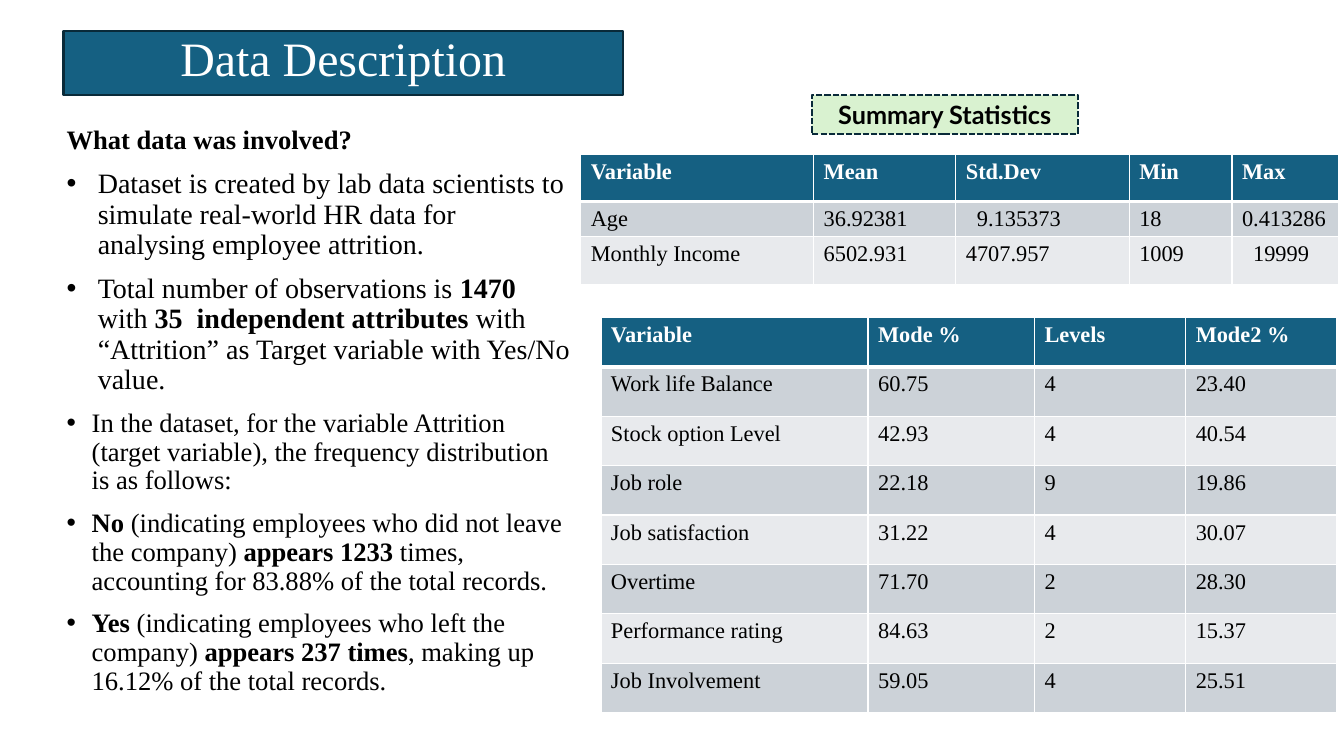
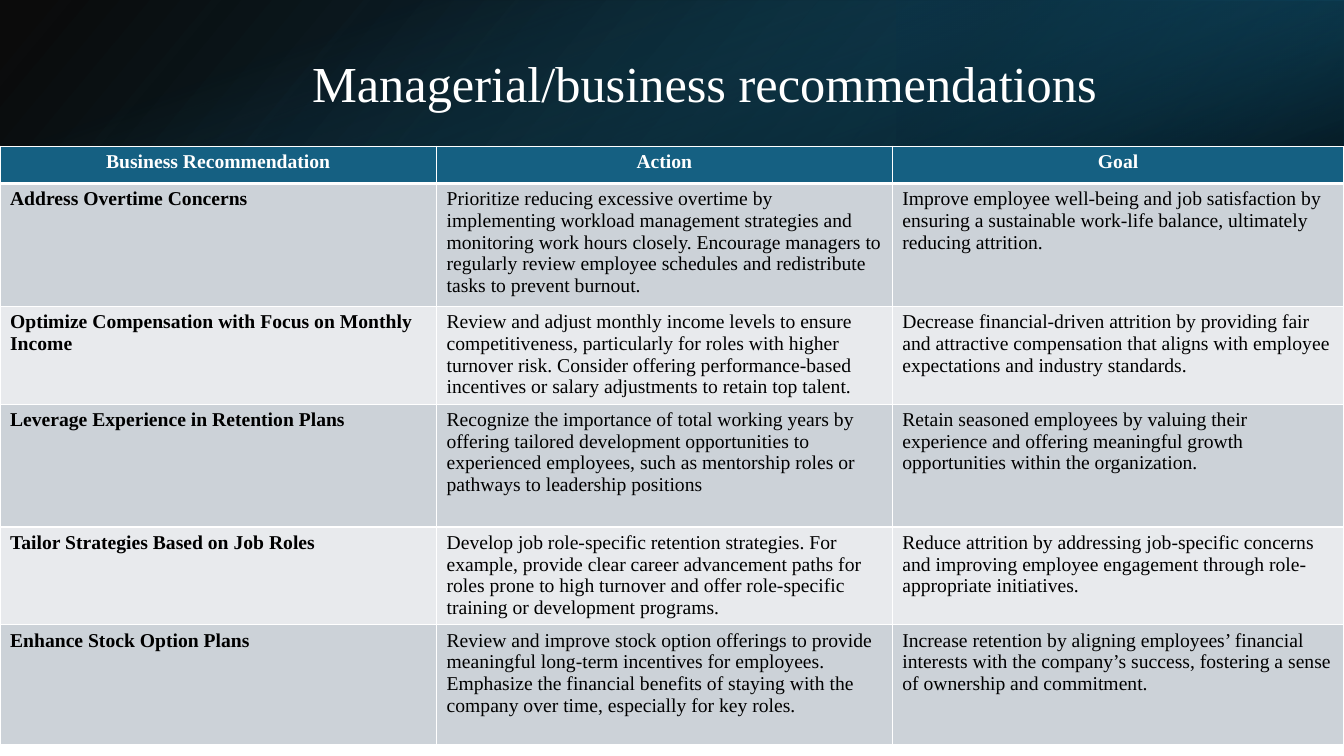
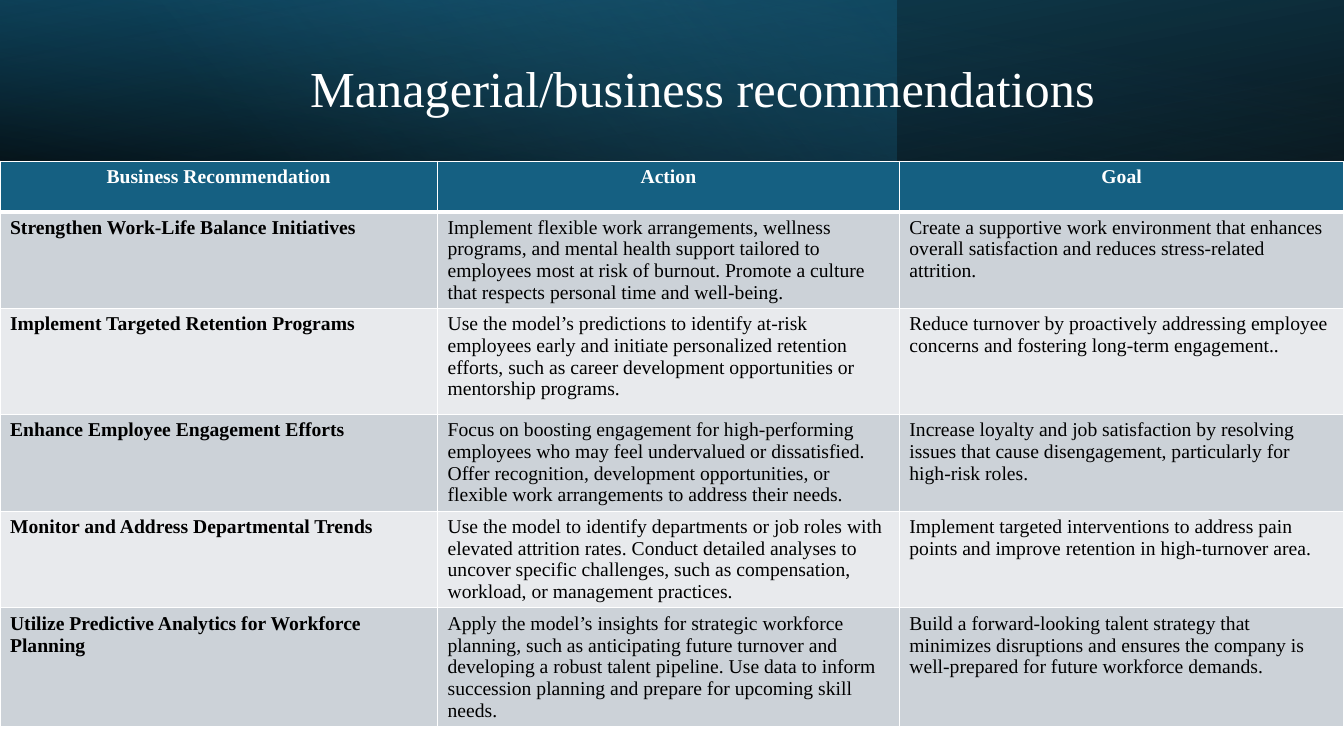
import pptx
import pptx.dml.color
import pptx.enum.dml
import pptx.enum.shapes
import pptx.enum.text
import pptx.oxml
import pptx.oxml.ns
import pptx.util
from lxml import etree

Inches = pptx.util.Inches
Pt = pptx.util.Pt
qn = pptx.oxml.ns.qn
rgb = pptx.dml.color.RGBColor.from_string
CENTER = pptx.enum.text.PP_ALIGN.CENTER
MIDDLE = pptx.enum.text.MSO_ANCHOR.MIDDLE
NO_FIT = pptx.enum.text.MSO_AUTO_SIZE.NONE
SHAPES = pptx.enum.shapes.MSO_SHAPE

SERIF, SANS = "Times New Roman", "Lato"
BLUE, NAVY, BLACK, WHITE = "156082", "092A39", "000000", "FFFFFF"
GREEN, ROW_DARK, ROW_LIGHT = "D9F2D0", "CCD2D8", "E8EAED"


def add_text(para, text, size, color=BLACK, bold=False, font=SERIF):
    """Add text as runs; parts between asterisks switch the weight."""
    for index, part in enumerate(text.split("*")):
        if part:
            span = para.add_run()
            span.text = part
            span.font.name = font
            span.font.size = Pt(size)
            span.font.bold = bold != (index % 2 == 1)
            span.font.color.rgb = rgb(color)


def add_grid(page, left, top, widths, heights, rows, size, centered=False, bold_first=False):
    """Add a table with a blue header row and banded rows below it."""
    frame = page.shapes.add_table(len(rows), len(widths), Inches(left), Inches(top),
                                  Inches(sum(widths)), Inches(sum(heights)))
    table = frame.table
    for column, width in zip(table.columns, widths):
        column.width = Inches(width)
    for r, (row, height) in enumerate(zip(rows, heights)):
        table.rows[r].height = Inches(height)
        header = r == 0
        for c, text in enumerate(row):
            cell = table.cell(r, c)
            properties = cell._tc.get_or_add_tcPr()
            for side in ("lnL", "lnR", "lnT", "lnB"):
                thick = (r, side) in ((0, "lnB"), (1, "lnT"))
                border = etree.SubElement(properties, qn("a:" + side), w=str(Pt(3 if thick else 1)))
                paint = etree.SubElement(border, qn("a:solidFill"))
                etree.SubElement(paint, qn("a:srgbClr"), val=WHITE)
            cell.fill.solid()
            cell.fill.fore_color.rgb = rgb(BLUE if header else ROW_DARK if r % 2 else ROW_LIGHT)
            para = cell.text_frame.paragraphs[0]
            if header and centered:
                para.alignment = CENTER
            add_text(para, text, size, WHITE if header else BLACK,
                     bold=header or (bold_first and c == 0))
    return table


deck = pptx.Presentation()
deck.slide_width = Inches(13.33)
deck.slide_height = Inches(7.5)

# Data description
page = deck.slides.add_slide(deck.slide_layouts[1])
title, body = page.placeholders
title.left, title.top, title.width, title.height = map(Inches, (0.63, 0.31, 5.55, 0.63))
outline = etree.Element(qn("a:prstGeom"), prst="roundRect")
etree.SubElement(outline, qn("a:avLst"))
title._element.spPr.insert(1, outline)
title.fill.solid()
title.fill.fore_color.rgb = rgb(BLUE)
title.line.color.rgb = rgb(NAVY)
title.line.width = Pt(1.5)
title.text_frame.auto_size = NO_FIT
title.text_frame.vertical_anchor = MIDDLE
para = title.text_frame.paragraphs[0]
para.alignment = CENTER
para.line_spacing = 0.8
para.space_after = Pt(6)
add_text(para, "Data Description", 34.2, WHITE)

body.left, body.top, body.width, body.height = map(Inches, (0.56, 1.21, 5.2, 6.02))
body.text_frame.auto_size = NO_FIT
points = [
    (19, 0, "*What data was involved?*"),
    (20, 0.31, "Dataset is created by lab data scientists to simulate real-world HR data "
               "for analysing employee attrition."),
    (20, 0.31, "Total number of observations is *1470* with *35  independent attributes *"
               "with “Attrition” as Target variable with Yes/No value."),
    (19, 0.25, "In the dataset, for the variable Attrition (target variable), "
               "the frequency distribution is as follows:"),
    (19, 0.25, "*No *(indicating employees who did not leave the company) *appears 1233 *times, "
               "accounting for 83.88% of the total records."),
    (19, 0.25, "*Yes* (indicating employees who left the company) *appears 237 times*, "
               "making up 16.12% of the total records."),
]
for index, (size, indent, text) in enumerate(points):
    para = body.text_frame.add_paragraph() if index else body.text_frame.paragraphs[0]
    properties = para._p.get_or_add_pPr()
    properties.set("marL", str(Inches(indent)))
    properties.set("indent", str(-Inches(indent)))
    if indent:
        etree.SubElement(properties, qn("a:buChar"), char="•")
    else:
        etree.SubElement(properties, qn("a:buNone"))
    para.line_spacing = 0.9
    para.space_before = Pt(10 if index else 0)
    add_text(para, text, size)

add_grid(page, 5.96, 3.15, [2.65, 1.65, 1.5, 1.5], [0.49] * 8, [
    ("Variable", "Mode %", "Levels", "Mode2 %"),
    ("Work life Balance", "60.75", "4", "23.40"),
    ("Stock option Level", "42.93", "4", "40.54"),
    ("Job role", "22.18", "9", "19.86"),
    ("Job satisfaction", "31.22", "4", "30.07"),
    ("Overtime", "71.70", "2", "28.30"),
    ("Performance rating", "84.63", "2", "15.37"),
    ("Job Involvement", "59.05", "4", "25.51"),
], 16)
statistics = add_grid(page, 5.76, 1.53, [2.31, 1.41, 1.72, 1.02, 1.06], [0.47, 0.35, 0.47], [
    ("Variable", "Mean", "Std.Dev", "Min", "Max"),
    ("Age", "36.92381", "9.135373", "18", "0.413286"),
    ("Monthly Income", "6502.931", "4707.957", "1009", "19999"),
], 16)
for r, c in ((1, 2), (2, 4)):
    statistics.cell(r, c).margin_left = Inches(0.21)

label = page.shapes.add_shape(SHAPES.RECTANGLE, *map(Inches, (8.05, 0.94, 2.64, 0.39)))
label.shadow.inherit = False
label.fill.solid()
label.fill.fore_color.rgb = rgb(GREEN)
label.line.color.rgb = rgb(NAVY)
label.line.width = Pt(1.5)
label.line.dash_style = pptx.enum.dml.MSO_LINE.SQUARE_DOT
label.text_frame.vertical_anchor = MIDDLE
para = label.text_frame.paragraphs[0]
para.alignment = CENTER
add_text(para, "Summary Statistics", 18, bold=True, font=SANS)

# Recommendations: each band is box, rotation, flipped, angle, stops (position, colour, opacity)
full_band = (0, 0, 13.33, 1.72)
base_stops = [(0, BLACK, 96), (100, "104862", 100)]
recommendations = [
    {
        "bands": [
            (full_band, 0, True, 140, base_stops),
            ((8.89, 0, 4.44, 1.72), 180, True, 320, [(19, "0B3041", 68), (100, BLUE, 79)]),
            ((5.8, -5.8, 1.72, 13.33), 90, False, 340, [(23, BLUE, 0), (99, BLACK, 74)]),
        ],
        "title": (1.5, 0.38, 10.98, 0.96),
        "top": 1.45,
        "widths": [4.33, 4.52, 4.48],
        "heights": [0.37, 1.22, 0.97, 1.22, 0.97, 1.19],
        "rows": [
            ("Address Overtime Concerns",
             "Prioritize reducing excessive overtime by implementing workload management strategies "
             "and monitoring work hours closely. Encourage managers to regularly review employee "
             "schedules and redistribute tasks to prevent burnout.",
             "Improve employee well-being and job satisfaction by ensuring a sustainable work-life "
             "balance, ultimately reducing attrition."),
            ("Optimize Compensation with Focus on Monthly Income",
             "Review and adjust monthly income levels to ensure competitiveness, particularly for "
             "roles with higher turnover risk. Consider offering performance-based incentives or "
             "salary adjustments to retain top talent.",
             "Decrease financial-driven attrition by providing fair and attractive compensation "
             "that aligns with employee expectations and industry standards."),
            ("Leverage Experience in Retention Plans",
             "Recognize the importance of total working years by offering tailored development "
             "opportunities to experienced employees, such as mentorship roles or pathways to "
             "leadership positions",
             "Retain seasoned employees by valuing their experience and offering meaningful growth "
             "opportunities within the organization."),
            ("Tailor Strategies Based on Job Roles",
             "Develop job role-specific retention strategies. For example, provide clear career "
             "advancement paths for roles prone to high turnover and offer role-specific training "
             "or development programs.",
             "Reduce attrition by addressing job-specific concerns and improving employee "
             "engagement through role-appropriate initiatives."),
            ("Enhance Stock Option Plans",
             "Review and improve stock option offerings to provide meaningful long-term incentives "
             "for employees. Emphasize the financial benefits of staying with the company over "
             "time, especially for key roles.",
             "Increase retention by aligning employees’ financial interests with the company’s "
             "success, fostering a sense of ownership and commitment."),
        ],
    },
    {
        "bands": [
            (full_band, 180, True, 100, base_stops),
            ((0, 0, 8.89, 1.72), 0, False, 140, [(0, BLUE, 41), (74, "46B1E1", 0)]),
            (full_band, 0, True, 260, [(0, BLACK, 63), (78, BLUE, 15)]),
        ],
        "title": (0.77, 0.27, 12.4, 1.27),
        "top": 1.6,
        "widths": [4.34, 4.58, 4.41],
        "heights": [0.5, 0.95, 1.05, 0.95, 0.95, 1.17],
        "rows": [
            ("Strengthen Work-Life Balance Initiatives",
             "Implement flexible work arrangements, wellness programs, and mental health support "
             "tailored to employees most at risk of burnout. Promote a culture that respects "
             "personal time and well-being.",
             "Create a supportive work environment that enhances overall satisfaction and reduces "
             "stress-related attrition."),
            ("Implement Targeted Retention Programs",
             "Use the model’s predictions to identify at-risk employees early and initiate "
             "personalized retention efforts, such as career development opportunities or "
             "mentorship programs.",
             "Reduce turnover by proactively addressing employee concerns and fostering long-term "
             "engagement.."),
            ("Enhance Employee Engagement Efforts",
             "Focus on boosting engagement for high-performing employees who may feel undervalued "
             "or dissatisfied. Offer recognition, development opportunities, or flexible work "
             "arrangements to address their needs.",
             "Increase loyalty and job satisfaction by resolving issues that cause disengagement, "
             "particularly for high-risk roles."),
            ("Monitor and Address Departmental Trends",
             "Use the model to identify departments or job roles with elevated attrition rates. "
             "Conduct detailed analyses to uncover specific challenges, such as compensation, "
             "workload, or management practices.",
             "Implement targeted interventions to address pain points and improve retention in "
             "high-turnover area."),
            ("Utilize Predictive Analytics for Workforce Planning",
             "Apply the model’s insights for strategic workforce planning, such as anticipating "
             "future turnover and developing a robust talent pipeline. Use data to inform "
             "succession planning and prepare for upcoming skill needs.",
             "Build a forward-looking talent strategy that minimizes disruptions and ensures the "
             "company is well-prepared for future workforce demands."),
        ],
    },
]

for content in recommendations:
    page = deck.slides.add_slide(deck.slide_layouts[5])
    for place, rotation, flipped, angle, stops in content["bands"]:
        band = page.shapes.add_shape(SHAPES.RECTANGLE, *map(Inches, place))
        band.shadow.inherit = False
        band.line.fill.background()
        band.rotation = rotation
        if flipped:
            band._element.spPr.find(qn("a:xfrm")).set("flipH", "1")
        band.fill.gradient()
        band.fill.gradient_angle = 360 - angle
        for stop, (position, color, opacity) in zip(band.fill.gradient_stops, stops):
            stop.position = position / 100
            stop.color.rgb = rgb(color)
        for paint, (position, color, opacity) in zip(band._element.spPr.iter(qn("a:srgbClr")), stops):
            etree.SubElement(paint, qn("a:alpha"), val=str(opacity * 1000))

    title = page.shapes.title
    title._element.getparent().append(title._element)  # in front of the bands
    title.left, title.top, title.width, title.height = map(Inches, content["title"])
    title.text_frame.auto_size = NO_FIT
    title.text_frame.vertical_anchor = MIDDLE
    para = title.text_frame.paragraphs[0]
    para.alignment = CENTER
    para.line_spacing = 0.9
    add_text(para, "Managerial/business recommendations", 36, WHITE)

    add_grid(page, 0, content["top"], content["widths"], content["heights"],
             [("Business Recommendation", "Action", "Goal")] + content["rows"],
             14, centered=True, bold_first=True)

deck.save("out.pptx")
